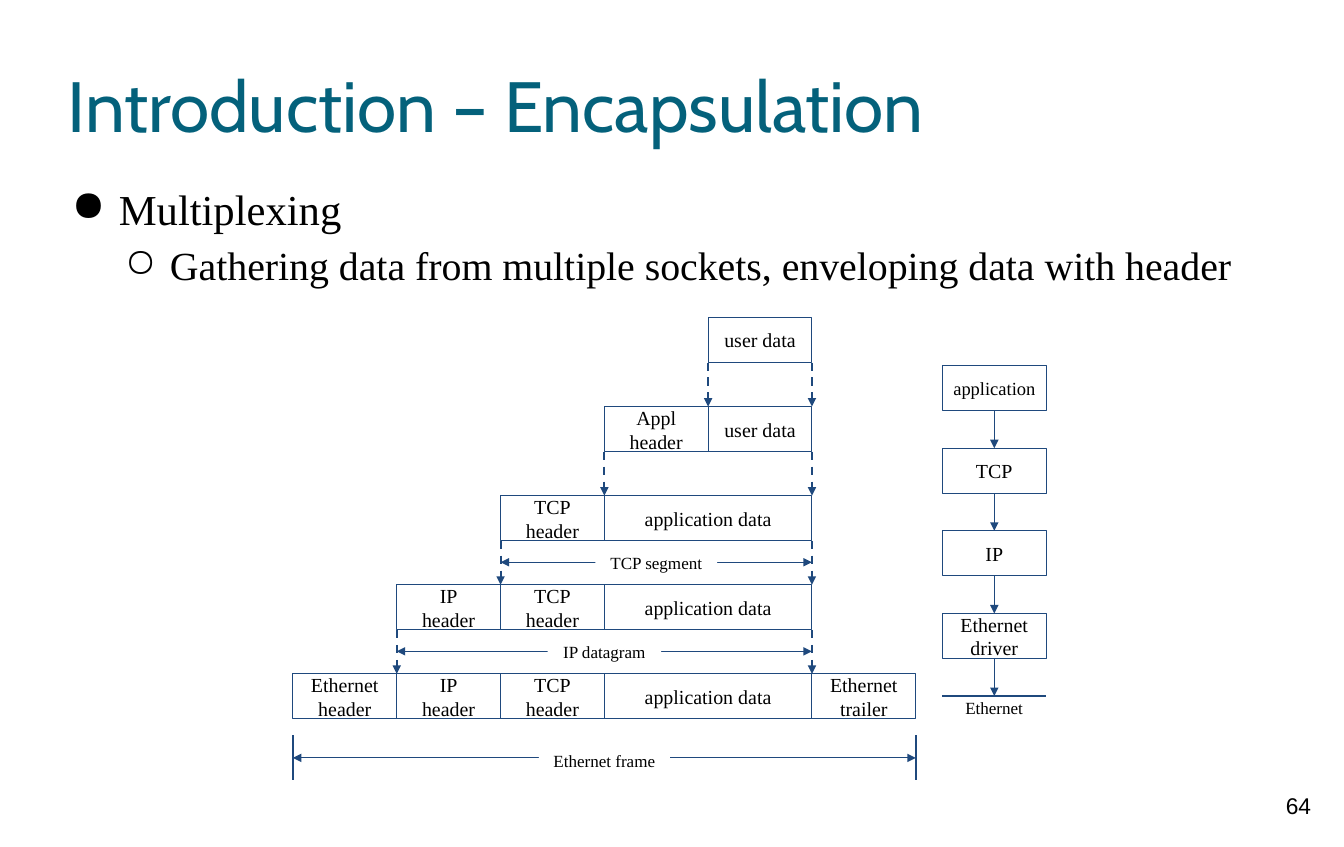
from dataclasses import dataclass

from lxml import etree
from pptx import Presentation
from pptx.dml.color import RGBColor
from pptx.enum import dml, shapes, text
from pptx.oxml.ns import qn
from pptx.util import Inches, Pt


@dataclass(frozen=True)
class Theme:
    ink: RGBColor = RGBColor(0x00, 0x00, 0x00)
    paper: RGBColor = RGBColor(0xFF, 0xFF, 0xFF)
    heading: RGBColor = RGBColor(0x04, 0x61, 0x7B)
    stroke: RGBColor = RGBColor(0x1F, 0x49, 0x7D)
    heading_font: str = "Cabin"
    body_font: str = "Times New Roman"
    number_font: str = "Arial"
    heading_size: int = 50
    topic_size: int = 30
    detail_size: int = 28
    number_size: int = 16
    box_size: int = 14
    tight_size: int = 13
    label_size: int = 12
    thin: float = 0.75
    thick: float = 1.5


THEME = Theme()

# Packet diagram: six equal columns, one row per protocol layer
FRAME_LEFT, FRAME_WIDTH = 2.86, 6.08
COLUMN = FRAME_WIDTH / 6
DATA_END = 5
LAYER_TOP, LAYER_PITCH, BOX_HEIGHT = 3.1, 0.87, 0.44
LAYERS = [  # first column, then (label, columns covered)
    (4, [("user data", 1)]),
    (3, [("Appl\nheader", 1), ("user data", 1)]),
    (2, [("TCP\nheader", 1), ("application data", 2)]),
    (1, [("IP\nheader", 1), ("TCP\nheader", 1), ("application data", 2)]),
    (0, [("Ethernet\nheader", 1), ("IP\nheader", 1), ("TCP\nheader", 1),
         ("application data", 2), ("Ethernet\ntrailer", 1)]),
]
SPANS = [  # label, first column, last column, line y, label top, label width
    ("TCP segment", 2, 5, 5.49, 5.29, 1.19),
    ("IP datagram", 1, 5, 6.36, 6.16, 1.11),
    ("Ethernet frame", 0, 6, 7.4, 7.23, 1.28),
]

# Protocol stack
STACK_LEFT, STACK_TOP = 9.2, 3.57
STACK_PITCH = 2.42 / 3
STACK = [("application", THEME.tight_size), ("TCP", THEME.box_size),
         ("IP", THEME.box_size), ("Ethernet\ndriver", THEME.box_size)]


def column_x(column):
    return FRAME_LEFT + column * COLUMN


def layer_y(layer):
    return LAYER_TOP + layer * LAYER_PITCH


def style(paragraph, size, font=THEME.body_font, color=THEME.ink):
    paragraph.font.size = Pt(size)
    paragraph.font.name = font
    paragraph.font.color.rgb = color


def set_frame(frame, inset_x, inset_y, anchor=text.MSO_ANCHOR.TOP):
    frame.word_wrap = True
    frame.vertical_anchor = anchor
    frame.margin_left = frame.margin_right = Inches(inset_x)
    frame.margin_top = frame.margin_bottom = Inches(inset_y)


def add_text(slide, left, top, width, height, inset=0.0, anchor=text.MSO_ANCHOR.TOP):
    area = slide.shapes.add_textbox(*map(Inches, (left, top, width, height)))
    set_frame(area.text_frame, inset, inset, anchor)
    return area


def add_label(slide, words, left, top, width, height=0.4,
              size=THEME.label_size, font=THEME.body_font):
    label = add_text(slide, left, top, width, height, 0.1)
    paragraph = label.text_frame.paragraphs[0]
    paragraph.text = words
    paragraph.alignment = text.PP_ALIGN.CENTER
    style(paragraph, size, font)
    return label


def add_box(slide, words, left, top, width, size=THEME.box_size):
    box = slide.shapes.add_shape(shapes.MSO_SHAPE.RECTANGLE,
                                 *map(Inches, (left, top, width, BOX_HEIGHT)))
    box.shadow.inherit = False
    box.fill.background()
    box.line.color.rgb = THEME.stroke
    box.line.width = Pt(THEME.thin)
    set_frame(box.text_frame, 0.05, 0.1, text.MSO_ANCHOR.MIDDLE)
    paragraph = box.text_frame.paragraphs[0]
    paragraph.text = words
    paragraph.alignment = text.PP_ALIGN.CENTER
    style(paragraph, size)


def add_line(slide, start, end, weight=THEME.thin, dashed=False, arrows=()):
    """Draw a line; arrows may hold headEnd (at start) and tailEnd (at end)."""
    line = slide.shapes.add_connector(shapes.MSO_CONNECTOR.STRAIGHT,
                                      *map(Inches, (*start, *end)))
    line.line.color.rgb = THEME.stroke
    line.line.width = Pt(weight)
    if dashed:
        line.line.dash_style = dml.MSO_LINE.DASH
    outline = line.line._get_or_add_ln()
    for arrow in arrows:
        etree.SubElement(outline, qn(f"a:{arrow}"), type="triangle")
    etree.SubElement(line._element.spPr, qn("a:effectLst"))


def add_bullet(paragraph, words, mark, indent, hanging, size, level=0):
    paragraph.text = words
    paragraph.level = level
    paragraph.line_spacing = 1.15
    properties = paragraph._p.get_or_add_pPr()
    properties.set("marL", str(Inches(indent)))
    properties.set("indent", str(-Inches(hanging)))
    bullet_color = etree.SubElement(properties, qn("a:buClr"))
    etree.SubElement(bullet_color, qn("a:srgbClr"), val=str(THEME.ink))
    etree.SubElement(properties, qn("a:buChar"), char=mark)
    style(paragraph, size)


def add_heading(slide):
    heading = add_text(slide, 0.66, 0.33, 11.81, 1.38, anchor=text.MSO_ANCHOR.MIDDLE)
    paragraph = heading.text_frame.paragraphs[0]
    paragraph.text = "Introduction – Encapsulation"
    style(paragraph, THEME.heading_size, THEME.heading_font, THEME.heading)


def add_outline(slide):
    frame = add_text(slide, 0.66, 1.71, 11.84, 1.05).text_frame
    add_bullet(frame.paragraphs[0], "Multiplexing", "●", 0.5, 0.46, THEME.topic_size)
    add_bullet(frame.add_paragraph(),
               "Gathering data from multiple sockets, enveloping data with header",
               "○", 1, 0.44, THEME.detail_size, level=1)


def add_layers(slide):
    for layer, (first, fields) in enumerate(LAYERS):
        column = first
        for words, span in fields:
            add_box(slide, words, column_x(column), layer_y(layer), span * COLUMN)
            column += span
    for layer, (first, _) in enumerate(LAYERS[:-1]):
        for edge in (first, DATA_END):
            x = column_x(edge)
            add_line(slide, (x, layer_y(layer) + BOX_HEIGHT), (x, layer_y(layer + 1)),
                     THEME.thick, dashed=True, arrows=("tailEnd",))


def add_spans(slide):
    for edge in (0, 6):
        add_line(slide, (column_x(edge), 7.18), (column_x(edge), 7.62), THEME.thick)
    for words, first, last, y, label_top, width in SPANS:
        left, right = column_x(first), column_x(last)
        add_line(slide, (left, y), (right, y), arrows=("headEnd", "tailEnd"))
        label = add_label(slide, words, (left + right - width) / 2, label_top, width)
        label.fill.solid()
        label.fill.fore_color.rgb = THEME.paper


def add_stack(slide):
    center = STACK_LEFT + COLUMN / 2
    for level, (words, size) in enumerate(STACK):
        top = STACK_TOP + level * STACK_PITCH
        add_box(slide, words, STACK_LEFT, top, COLUMN, size)
        add_line(slide, (center, top + BOX_HEIGHT), (center, top + STACK_PITCH),
                 arrows=("tailEnd",))
    wire_y = STACK_TOP + len(STACK) * STACK_PITCH
    add_line(slide, (STACK_LEFT, wire_y), (STACK_LEFT + COLUMN, wire_y), THEME.thick)
    add_label(slide, "Ethernet", 9.15, 6.71, 1.11)


def main():
    deck = Presentation()
    deck.slide_width, deck.slide_height = Inches(13.12), Inches(8.27)
    slide = deck.slides.add_slide(deck.slide_layouts[6])
    add_heading(slide)
    add_outline(slide)
    add_layers(slide)
    add_spans(slide)
    add_stack(slide)
    add_label(slide, "64", 12.28, 7.63, 0.79, 0.63, THEME.number_size, THEME.number_font)
    deck.save("out.pptx")


if __name__ == "__main__":
    main()
